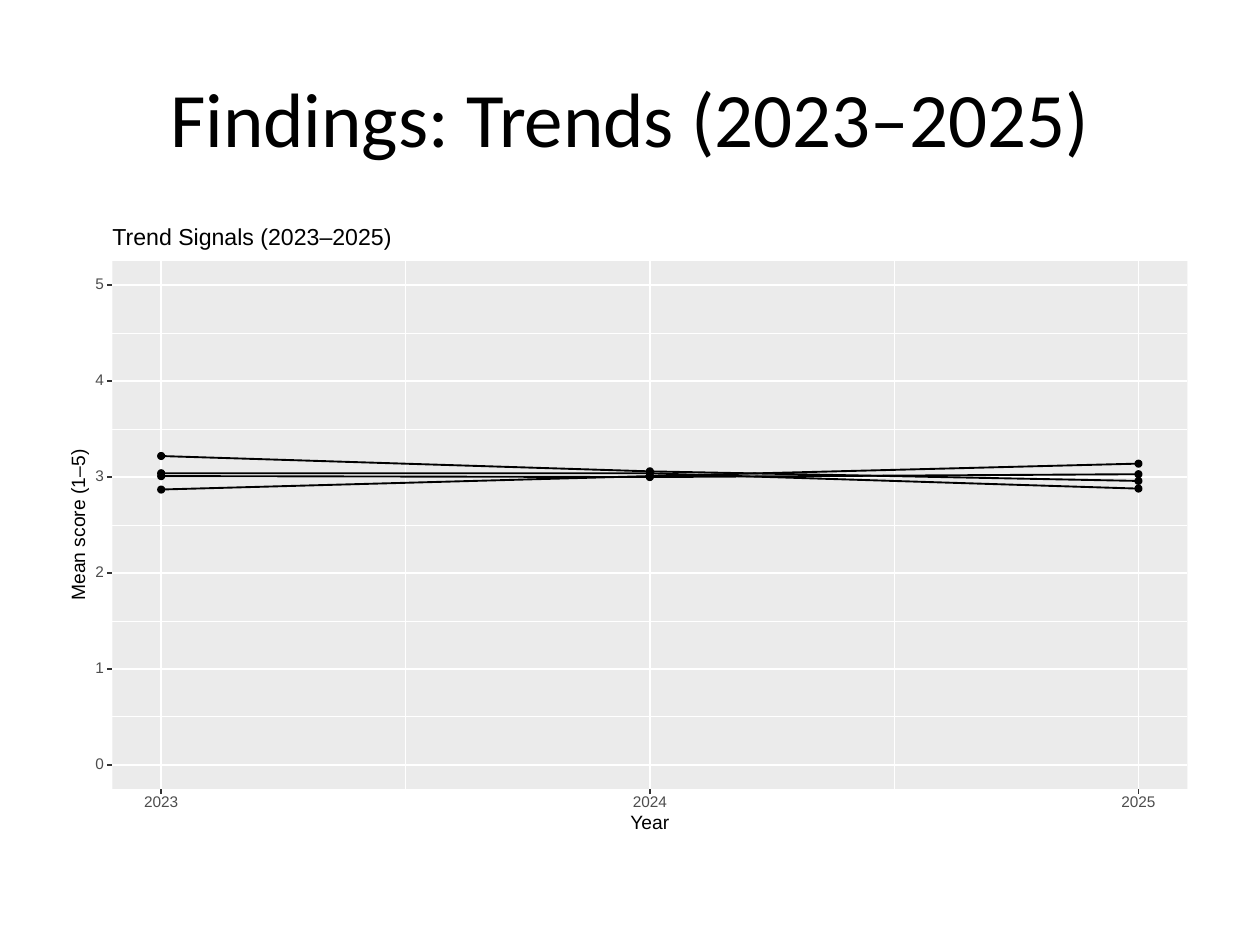
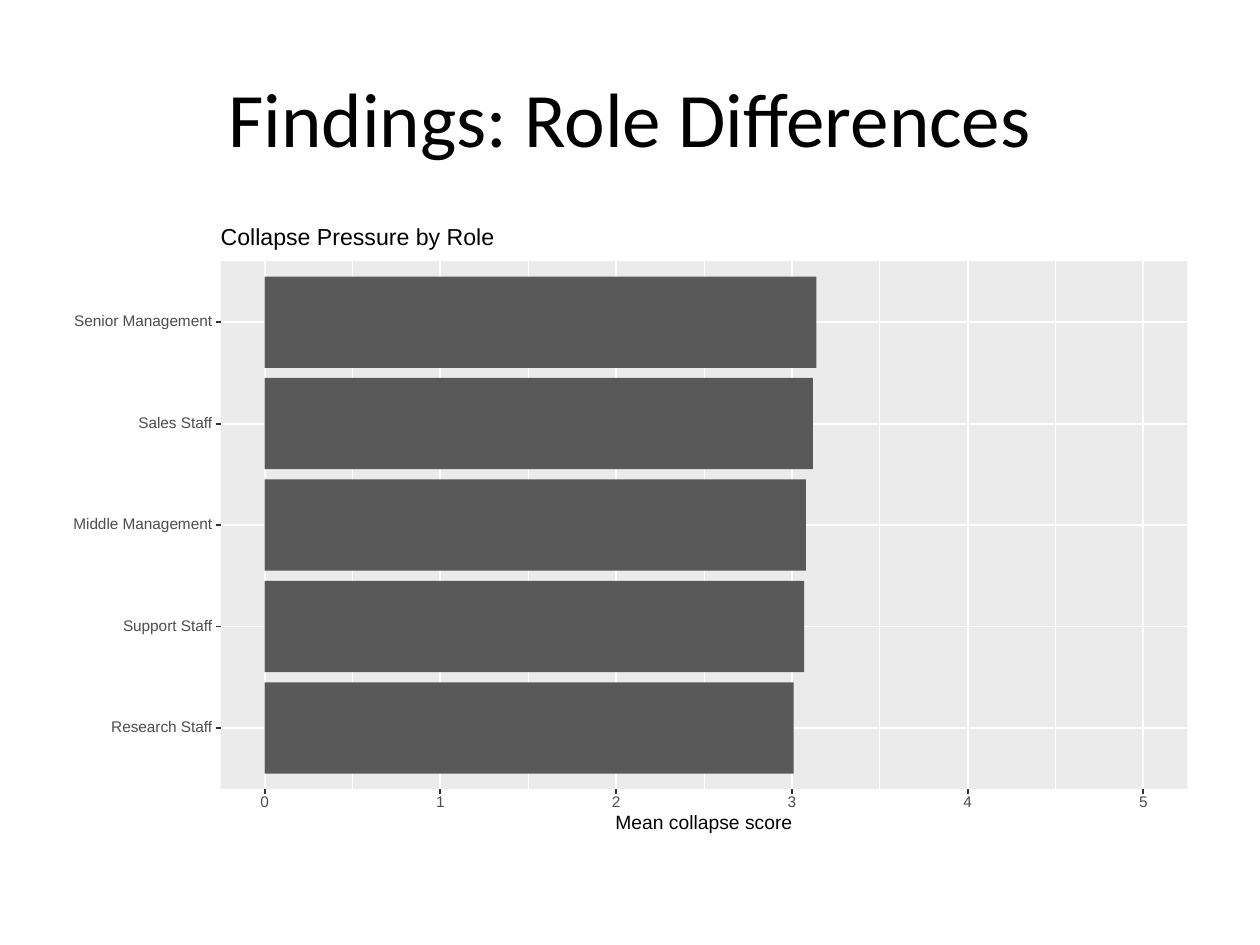
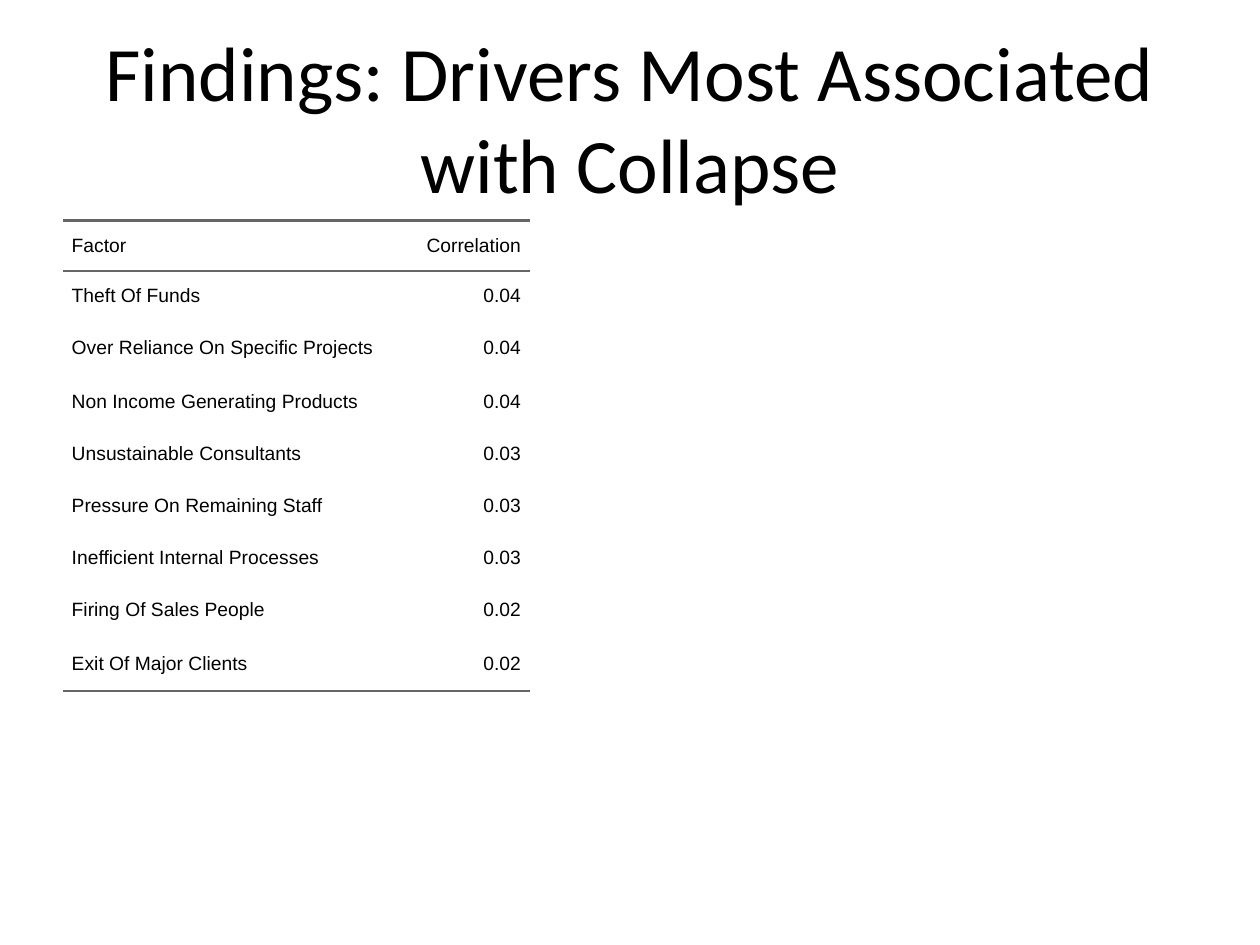
"""Build three findings slides: yearly trends, role differences and collapse drivers."""
from dataclasses import dataclass

from lxml.etree import SubElement
from pptx import Presentation
from pptx.dml.color import RGBColor
from pptx.enum.shapes import MSO_CONNECTOR, MSO_SHAPE
from pptx.enum.text import MSO_ANCHOR, MSO_AUTO_SIZE, PP_ALIGN
from pptx.oxml.ns import qn
from pptx.util import Pt

BLACK = RGBColor(0x00, 0x00, 0x00)
WHITE = RGBColor(0xFF, 0xFF, 0xFF)
PANEL_GREY = RGBColor(0xEB, 0xEB, 0xEB)
BAR_GREY = RGBColor(0x59, 0x59, 0x59)
TICK_GREY = RGBColor(0x33, 0x33, 0x33)
LABEL_GREY = RGBColor(0x4D, 0x4D, 0x4D)
RULE_GREY = RGBColor(0x66, 0x66, 0x66)

TREND_TITLE = "Findings: Trends (2023–2025)"
TREND_CAPTION = ("Trend Signals (2023–2025)", 162)
TREND_AXES = {"x": ("Year", 24), "y": ("Mean score (1–5)", 89)}
YEARS = [2023, 2024, 2025]
TRENDS = [
    (3.01, 3.00, 3.03),
    (3.22, 3.06, 2.96),
    (2.87, 3.01, 3.14),
    (3.04, 3.04, 2.88),
]

ROLE_TITLE = "Findings: Role Differences"
ROLE_CAPTION = ("Collapse Pressure by Role", 159)
ROLE_AXES = {"x": ("Mean collapse score", 103)}
ROLES = [
    ("Research Staff", 3.01, 60),
    ("Support Staff", 3.07, 53),
    ("Middle Management", 3.08, 82),
    ("Sales Staff", 3.12, 44),
    ("Senior Management", 3.14, 81),
]

DRIVER_TITLE = "Findings: Drivers Most Associated with Collapse"
SHORT_ROW, TALL_ROW = 28.8, 30.7
DRIVERS = [
    ("Factor", "Correlation", SHORT_ROW),
    ("Theft Of Funds", "0.04", SHORT_ROW),
    ("Over Reliance On Specific Projects", "0.04", TALL_ROW),
    ("Non Income Generating Products", "0.04", TALL_ROW),
    ("Unsustainable Consultants", "0.03", SHORT_ROW),
    ("Pressure On Remaining Staff", "0.03", TALL_ROW),
    ("Inefficient Internal Processes", "0.03", SHORT_ROW),
    ("Firing Of Sales People", "0.02", TALL_ROW),
    ("Exit Of Major Clients", "0.02", TALL_ROW),
]
DRIVER_COLUMNS = (192.4, 74.3)

SCORES = range(6)
HALF_SCORES = [score + 0.5 for score in range(5)]
SCORE_RANGE = (-0.25, 5.25)
PANEL_TOP, PANEL_RIGHT, PANEL_BOTTOM = 149.3, 678.5, 450.8
MAJOR, MINOR = 1.07, 0.53
TICK, LABEL_GAP, DIGIT_WIDTH = 2.75, 4.8, 5.2
DOT, BAR_SHARE = 3.9, 0.9
TICK_SIZE, AXIS_SIZE, CAPTION_SIZE = 8.8, 11, 13.2


@dataclass
class Panel:
    """Plot area that turns data values into points on the slide."""
    left: float
    x_range: tuple
    y_range: tuple

    def x(self, value):
        low, high = self.x_range
        return self.left + (value - low) / (high - low) * (PANEL_RIGHT - self.left)

    def y(self, value):
        low, high = self.y_range
        return PANEL_BOTTOM - (value - low) / (high - low) * (PANEL_BOTTOM - PANEL_TOP)


def apply(target, values):
    """Set each attribute named in a dict."""
    for name, value in values.items():
        setattr(target, name, value)


def new_slide(deck, title):
    """Add a title-only slide with the shared title style."""
    page = deck.slides.add_slide(deck.slide_layouts[5])
    holder = page.shapes.title
    apply(holder, {"left": Pt(36), "top": Pt(21.6), "width": Pt(648), "height": Pt(90)})
    frame = holder.text_frame
    frame.text = title
    apply(frame, {"auto_size": MSO_AUTO_SIZE.NONE, "vertical_anchor": MSO_ANCHOR.MIDDLE})
    para = frame.paragraphs[0]
    para.alignment = PP_ALIGN.CENTER
    apply(para.font, {"name": "Calibri", "size": Pt(44)})
    para.font.color.rgb = BLACK
    return page


def add_line(page, x1, y1, x2, y2, color, weight):
    """Draw a straight line without a shadow."""
    line = page.shapes.add_connector(MSO_CONNECTOR.STRAIGHT, Pt(x1), Pt(y1), Pt(x2), Pt(y2))
    line.line.color.rgb = color
    line.line.width = Pt(weight)
    SubElement(line._element.spPr, qn("a:effectLst"))


def add_solid(page, kind, left, top, width, height, color):
    """Draw a filled preset shape without an outline."""
    shape = page.shapes.add_shape(kind, Pt(left), Pt(top), Pt(width), Pt(height))
    shape.shadow.inherit = False
    shape.fill.solid()
    shape.fill.fore_color.rgb = color
    shape.line.fill.background()
    return shape


def add_label(page, text, center_x, center_y, width, size, color=BLACK,
              alignment=PP_ALIGN.CENTER, rotation=0):
    """Place one line of Arial text around a centre point."""
    height = 0.73 * size
    box = page.shapes.add_textbox(Pt(center_x - width / 2), Pt(center_y - height / 2),
                                  Pt(width), Pt(height))
    box.rotation = rotation
    frame = box.text_frame
    apply(frame, {"margin_left": 0, "margin_top": 0, "margin_right": 0, "margin_bottom": 0,
                  "word_wrap": False, "vertical_anchor": MSO_ANCHOR.MIDDLE})
    para = frame.paragraphs[0]
    apply(para, {"alignment": alignment, "line_spacing": Pt(size)})
    span = para.add_run()
    span.text = text
    apply(span.font, {"name": "Arial", "size": Pt(size)})
    span.font.color.rgb = color


def draw_panel(page, panel, x_major, x_minor, y_major, y_minor):
    """Draw the grey plot area with its white grid."""
    add_solid(page, MSO_SHAPE.RECTANGLE, panel.left, PANEL_TOP,
              PANEL_RIGHT - panel.left, PANEL_BOTTOM - PANEL_TOP, PANEL_GREY)
    for x_values, y_values, weight in ((x_minor, y_minor, MINOR), (x_major, y_major, MAJOR)):
        for value in y_values:
            add_line(page, panel.left, panel.y(value), PANEL_RIGHT, panel.y(value), WHITE, weight)
        for value in x_values:
            add_line(page, panel.x(value), PANEL_BOTTOM, panel.x(value), PANEL_TOP, WHITE, weight)


def draw_axes(page, panel, x_values, y_labels, axes, caption):
    """Add ticks, tick labels, axis titles and the chart caption."""
    for value, text, width in y_labels:
        y = panel.y(value)
        add_label(page, text, panel.left - LABEL_GAP - width / 2, y, width, TICK_SIZE,
                  LABEL_GREY, PP_ALIGN.RIGHT)
        add_line(page, panel.left - TICK, y, panel.left, y, TICK_GREY, MAJOR)
    for value in x_values:
        x, text = panel.x(value), str(value)
        add_line(page, x, PANEL_BOTTOM + TICK, x, PANEL_BOTTOM, TICK_GREY, MAJOR)
        add_label(page, text, x, 459, DIGIT_WIDTH * len(text), TICK_SIZE, LABEL_GREY)
    text, width = axes["x"]
    add_label(page, text, (panel.left + PANEL_RIGHT) / 2, 470.5, width, AXIS_SIZE)
    if "y" in axes:
        text, width = axes["y"]
        add_label(page, text, 45.4, (PANEL_TOP + PANEL_BOTTOM) / 2, width, AXIS_SIZE, rotation=270)
    text, width = caption
    add_label(page, text, panel.left + width / 2, 136.4, width, CAPTION_SIZE,
              alignment=PP_ALIGN.LEFT)


def build_trends(deck):
    """Draw yearly mean scores as four lines with dots."""
    page = new_slide(deck, TREND_TITLE)
    panel = Panel(64.2, (YEARS[0] - 0.1, YEARS[-1] + 0.1), SCORE_RANGE)
    draw_panel(page, panel, YEARS, [year + 0.5 for year in YEARS[:-1]], SCORES, HALF_SCORES)
    trend_points = [[(panel.x(year), panel.y(score)) for year, score in zip(YEARS, trend)]
                    for trend in TRENDS]
    for points in trend_points:
        start, *rest = [(Pt(x), Pt(y)) for x, y in points]
        builder = page.shapes.build_freeform(*start)
        builder.add_line_segments(rest, close=False)
        line = builder.convert_to_shape()
        line.shadow.inherit = False
        line.fill.background()
        line.line.color.rgb = BLACK
        line.line.width = Pt(MAJOR)
    for points in trend_points:
        for x, y in points:
            dot = add_solid(page, MSO_SHAPE.OVAL, x - DOT / 2, y - DOT / 2, DOT, DOT, BLACK)
            dot.line.color.rgb = BLACK
            dot.line.width = Pt(0.71)
    y_labels = [(score, str(score), DIGIT_WIDTH) for score in SCORES]
    draw_axes(page, panel, YEARS, y_labels, TREND_AXES, TREND_CAPTION)


def build_roles(deck):
    """Draw the mean collapse score of each role as a bar."""
    page = new_slide(deck, ROLE_TITLE)
    panel = Panel(126.1, SCORE_RANGE, (-0.6, len(ROLES) - 0.4))
    draw_panel(page, panel, SCORES, HALF_SCORES, range(len(ROLES)), [])
    for row, (role, score, width) in enumerate(ROLES):
        top, bottom = panel.y(row + BAR_SHARE / 2), panel.y(row - BAR_SHARE / 2)
        add_solid(page, MSO_SHAPE.RECTANGLE, panel.x(0), top,
                  panel.x(score) - panel.x(0), bottom - top, BAR_GREY)
    y_labels = [(row, role, width) for row, (role, score, width) in enumerate(ROLES)]
    draw_axes(page, panel, SCORES, y_labels, ROLE_AXES, ROLE_CAPTION)


def set_borders(cell, ruled):
    """Rule the named sides of a cell and clear the others."""
    properties = cell._tc.get_or_add_tcPr()
    for side in "LRTB":
        border = SubElement(properties, qn(f"a:ln{side}"), w=str(Pt(1.5)))
        if side in ruled:
            fill = SubElement(border, qn("a:solidFill"))
            SubElement(fill, qn("a:srgbClr"), val=str(RULE_GREY))
        else:
            SubElement(border, qn("a:noFill"))


def build_drivers(deck):
    """Tabulate the factors and their correlation with collapse."""
    page = new_slide(deck, DRIVER_TITLE)
    height = sum(row[-1] for row in DRIVERS)
    table = page.shapes.add_table(len(DRIVERS), 2, Pt(36), Pt(126),
                                  Pt(sum(DRIVER_COLUMNS)), Pt(height)).table
    apply(table, {"first_row": False, "horz_banding": False})
    for column, width in zip(table.columns, DRIVER_COLUMNS):
        column.width = Pt(width)
    ruled_sides = {0: "TB", 1: "T", len(DRIVERS) - 1: "B"}
    for row, (factor, correlation, row_height) in enumerate(DRIVERS):
        table.rows[row].height = Pt(row_height)
        for column, (text, alignment) in enumerate(((factor, PP_ALIGN.LEFT),
                                                    (correlation, PP_ALIGN.RIGHT))):
            cell = table.cell(row, column)
            cell.text = text
            apply(cell, {"margin_left": 0, "margin_right": 0, "margin_top": Pt(5),
                         "margin_bottom": Pt(5), "vertical_anchor": MSO_ANCHOR.MIDDLE})
            set_borders(cell, ruled_sides.get(row, ""))
            cell.fill.background()
            para = cell.text_frame.paragraphs[0]
            apply(para, {"alignment": alignment, "space_before": Pt(5), "space_after": Pt(5)})
            for name, indent in (("marL", 5), ("marR", 5), ("indent", 0)):
                para._p.get_or_add_pPr().set(name, str(Pt(indent)))
            span = para.runs[0]
            apply(span.font, {"name": "Arial", "size": Pt(11)})
            span.font.color.rgb = BLACK


def main():
    """Assemble and save the deck."""
    deck = Presentation()
    apply(deck, {"slide_width": Pt(720), "slide_height": Pt(540)})
    for build in (build_trends, build_roles, build_drivers):
        build(deck)
    deck.save("out.pptx")


if __name__ == "__main__":
    main()
